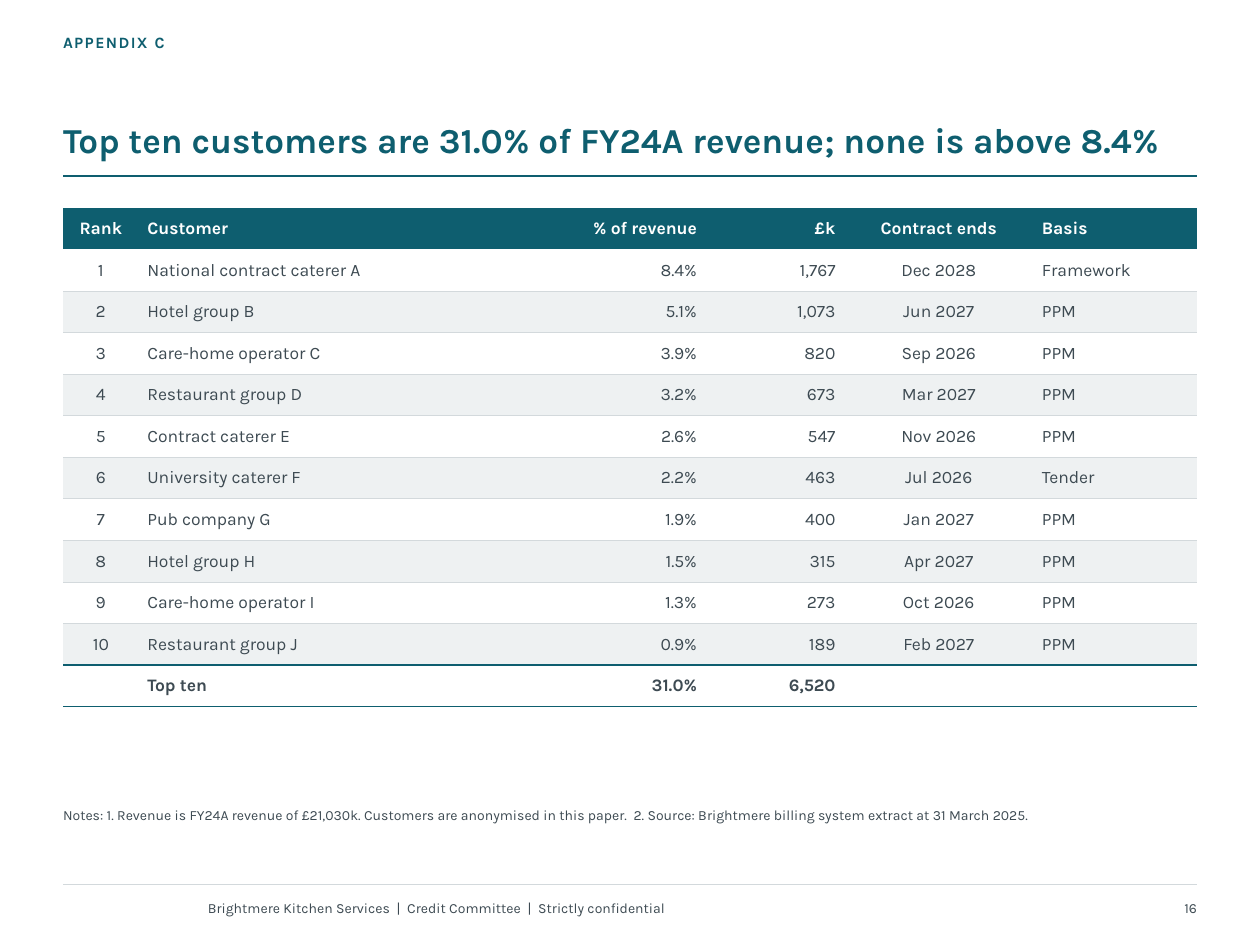
import lxml.etree
import pptx
import pptx.dml.color
import pptx.enum.shapes
import pptx.enum.text
import pptx.oxml.ns
import pptx.util

Pt = pptx.util.Pt
qn = pptx.oxml.ns.qn
ALIGN = pptx.enum.text.PP_ALIGN
ANCHOR = pptx.enum.text.MSO_ANCHOR
FONT = "Karla"
COLORS = {"teal": "0E5E6F", "ink": "3D4A52", "rule": "D3D9DC", "band": "EEF1F2", "white": "FFFFFF"}
NO_STYLE = "{2D5ABB26-0587-4C30-8999-92F81FD0307C}"
LEFT, WIDTH = 36, 648
ROW_HEIGHT = 23.76

COLUMNS = [
    ("Rank", 43.2, ALIGN.CENTER),
    ("Customer", 230.4, ALIGN.LEFT),
    ("% of revenue", 93.6, ALIGN.RIGHT),
    ("£k", 79.2, ALIGN.RIGHT),
    ("Contract ends", 108, ALIGN.CENTER),
    ("Basis", 93.6, ALIGN.LEFT),
]
CUSTOMERS = [
    ("National contract caterer A", "8.4%", "1,767", "Dec 2028", "Framework"),
    ("Hotel group B", "5.1%", "1,073", "Jun 2027", "PPM"),
    ("Care-home operator C", "3.9%", "820", "Sep 2026", "PPM"),
    ("Restaurant group D", "3.2%", "673", "Mar 2027", "PPM"),
    ("Contract caterer E", "2.6%", "547", "Nov 2026", "PPM"),
    ("University caterer F", "2.2%", "463", "Jul 2026", "Tender"),
    ("Pub company G", "1.9%", "400", "Jan 2027", "PPM"),
    ("Hotel group H", "1.5%", "315", "Apr 2027", "PPM"),
    ("Care-home operator I", "1.3%", "273", "Oct 2026", "PPM"),
    ("Restaurant group J", "0.9%", "189", "Feb 2027", "PPM"),
]
TOTAL = ("", "Top ten", "31.0%", "6,520", "", "")


def rgb(name):
    """Return the palette colour called name."""
    return pptx.dml.color.RGBColor.from_string(COLORS[name])


def write(paragraph, text, size, color, bold=False, align=ALIGN.LEFT):
    """Add one formatted run to a paragraph and return it."""
    paragraph.alignment = align
    run = paragraph.add_run()
    run.text = text
    run.font.name = FONT
    run.font.size = Pt(size)
    run.font.bold = bold
    run.font.color.rgb = rgb(color)
    return run


def fit_frame(shape, box, anchor, insets):
    """Place a shape in its box, prepare its frame and return the first paragraph."""
    shape.left, shape.top, shape.width, shape.height = map(Pt, box)
    frame = shape.text_frame
    frame.word_wrap = True
    frame.auto_size = pptx.enum.text.MSO_AUTO_SIZE.NONE
    frame.vertical_anchor = anchor
    frame.margin_left, frame.margin_top, frame.margin_right, frame.margin_bottom = map(Pt, insets)
    return frame.paragraphs[0]


def add_rule(slide, y, color, weight):
    """Draw a horizontal rule across the content width."""
    rule = slide.shapes.add_connector(
        pptx.enum.shapes.MSO_CONNECTOR.STRAIGHT, Pt(LEFT), Pt(y), Pt(LEFT + WIDTH), Pt(y))
    rule.line.color.rgb = rgb(color)
    rule.line.width = Pt(weight)
    lxml.etree.SubElement(rule._element.spPr, qn("a:effectLst"))


def place_body(placeholder, box, text, size, color, bold=False):
    """Fill a body placeholder with one plain, unbulleted line and return its run."""
    paragraph = fit_frame(placeholder, box, ANCHOR.TOP, (0, 0, 0, 0))
    properties = paragraph._p.get_or_add_pPr()
    properties.set("marL", "0")
    properties.set("indent", "0")
    lxml.etree.SubElement(properties, qn("a:buNone"))
    paragraph.space_before = Pt(0)
    return write(paragraph, text, size, color, bold)


def place_heading(slide, section, box):
    """Place the section label, the title and the rule beneath it."""
    left, top, width, height = box
    label = place_body(section, (left, top, 504, 17.28), "APPENDIX C", 9, "teal", True)
    label.font._element.set("spc", "80")
    title_top = top + 17.28
    paragraph = fit_frame(slide.shapes.title, (left, title_top, width, top + height - title_top),
                          ANCHOR.BOTTOM, (0, 0, 0, 2.88))
    paragraph.line_spacing = 0.92
    write(paragraph, "Top ten customers are 31.0% of FY24A revenue; none is above 8.4%",
          20, "teal", True)
    add_rule(slide, top + height + 5.76, "teal", 1.25)


def add_borders(cell, borders):
    """Give a cell borders, listed top before bottom as (tag, colour, weight)."""
    properties = cell._tc.get_or_add_tcPr()
    for position, (tag, color, weight) in enumerate(borders):
        line = lxml.etree.Element(qn(tag), w=str(Pt(weight)))
        fill = lxml.etree.SubElement(line, qn("a:solidFill"))
        lxml.etree.SubElement(fill, qn("a:srgbClr"), val=COLORS[color])
        properties.insert(position, line)


def fill_cell(cell, text, align, fill, color, bold, borders):
    """Write, fill and border one table cell."""
    cell.vertical_anchor = ANCHOR.MIDDLE
    cell.margin_left = cell.margin_right = Pt(5.04)
    cell.margin_top = cell.margin_bottom = Pt(2.88)
    if fill:
        cell.fill.solid()
        cell.fill.fore_color.rgb = rgb(fill)
    else:
        cell.fill.background()
    paragraph = cell.text_frame.paragraphs[0]
    if text:
        write(paragraph, text, 10, color, bold, align)
    else:
        lxml.etree.SubElement(paragraph._p, qn("a:endParaRPr"), sz="1000")
    add_borders(cell, borders)


def place_customers(slide, box):
    """Place the customer table with its header, banded rows and total."""
    headings, widths, aligns = zip(*COLUMNS)
    ranked = [(str(rank), *customer) for rank, customer in enumerate(CUSTOMERS, 1)]
    rows = [headings, *ranked, TOTAL]
    table = slide.shapes.add_table(len(rows), len(COLUMNS), *map(Pt, box)).table
    table._tbl.tblPr.find(qn("a:tableStyleId")).text = NO_STYLE
    table.first_row = table.horz_banding = False
    for column, width in zip(table.columns, widths):
        column.width = Pt(width)
    for r, values in enumerate(rows):
        table.rows[r].height = Pt(ROW_HEIGHT)
        if r == 0:
            style = ("teal", "white", True, [])
        elif values is TOTAL:
            style = (None, "ink", True, [("a:lnT", "teal", 1), ("a:lnB", "teal", 1)])
        else:
            style = (None if r % 2 else "band", "ink", False, [("a:lnB", "rule", 0.5)])
        for c, (text, align) in enumerate(zip(values, aligns)):
            fill_cell(table.cell(r, c), text, align, *style)


def place_footer(slide, box):
    """Place the footer rule, the paper's name and the page number."""
    left, top, width, height = box
    add_rule(slide, top - 4.32, "rule", 0.75)
    paper = slide.shapes.add_textbox(0, 0, 0, 0)
    paragraph = fit_frame(paper, (left + 82.8, top, 403.2, height), ANCHOR.MIDDLE, (0, 3.6, 7.2, 3.6))
    write(paragraph, "Brightmere Kitchen Services  |  Credit Committee  |  Strictly confidential", 8, "ink")
    page = slide.shapes.add_textbox(0, 0, 0, 0)
    paragraph = fit_frame(page, (left + width - 72, top, 72, height), ANCHOR.MIDDLE, (7.2, 3.6, 0, 3.6))
    write(paragraph, "16", 8, "ink", align=ALIGN.RIGHT)


def main():
    """Build the customer concentration slide."""
    deck = pptx.Presentation()
    deck.slide_width, deck.slide_height = Pt(720), Pt(540)
    slide = deck.slides.add_slide(deck.slide_layouts[3])
    section, notes = slide.placeholders[1], slide.placeholders[2]
    place_heading(slide, section, (LEFT, 18.72, WIDTH, 76.32))
    place_customers(slide, (LEFT, 118.8, WIDTH, ROW_HEIGHT * (len(CUSTOMERS) + 2)))
    place_body(notes, (LEFT, 460.8, WIDTH, 41.76),
               "Notes: 1. Revenue is FY24A revenue of £21,030k. Customers are anonymised in this paper.  "
               "2. Source: Brightmere billing system extract at 31 March 2025.", 8, "ink")
    place_footer(slide, (LEFT, 509.76, WIDTH, 18.72))
    deck.save("out.pptx")


if __name__ == "__main__":
    main()
